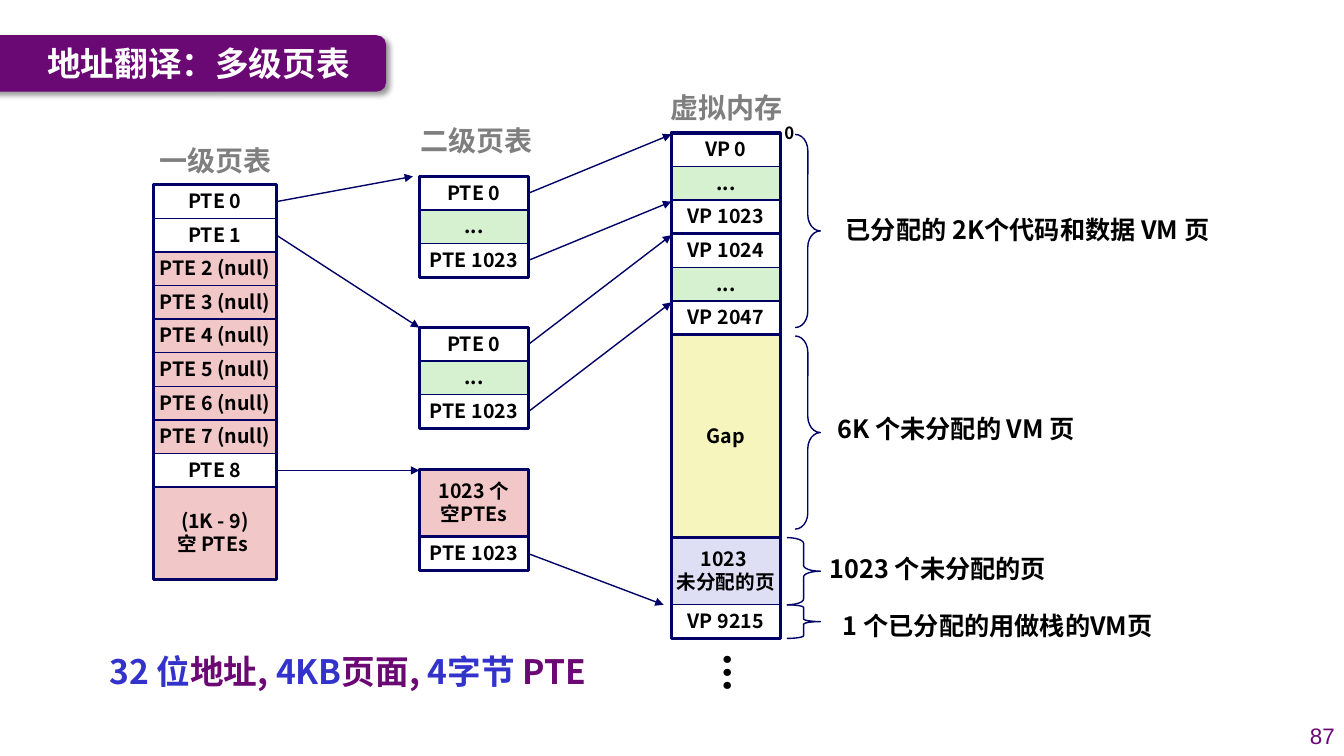
from lxml import etree
from pptx import Presentation
from pptx.dml.color import RGBColor
from pptx.enum.shapes import MSO_CONNECTOR, MSO_SHAPE
from pptx.enum.text import MSO_ANCHOR, MSO_AUTO_SIZE, PP_ALIGN
from pptx.oxml.ns import qn
from pptx.util import Pt

RECT, ROUNDED, BRACE = MSO_SHAPE.RECTANGLE, MSO_SHAPE.ROUNDED_RECTANGLE, MSO_SHAPE.RIGHT_BRACE
STRAIGHT = MSO_CONNECTOR.STRAIGHT
TOP, MIDDLE = MSO_ANCHOR.TOP, MSO_ANCHOR.MIDDLE
LEFT, CENTER, RIGHT = PP_ALIGN.LEFT, PP_ALIGN.CENTER, PP_ALIGN.RIGHT
GROW, FIXED = MSO_AUTO_SIZE.SHAPE_TO_FIT_TEXT, MSO_AUTO_SIZE.NONE

CJK = "Noto Sans CJK SC"
NAVY, BLACK, GREY, WHITE = "000066", "000000", "7F7F7F", "FFFFFF"
PURPLE, BLUE, BANNER_PURPLE = "6B0874", "3333CC", "6A0874"
GREEN, PINK, YELLOW, LAVENDER = "D5F1CF", "F1C7C7", "F6F5BD", "DEDFF5"
ROW = 24


def rgb(value):
    return RGBColor.from_string(value)


def write(shape, lines, size, color=BLACK, align=CENTER, spacing=0.98, font=CJK, bold=True,
          anchor=MIDDLE, wrap=False, fit=FIXED):
    frame = shape.text_frame
    frame_format = {"vertical_anchor": anchor, "word_wrap": wrap, "auto_size": fit}
    for name, value in frame_format.items():
        setattr(frame, name, value)
    for index, line in enumerate(lines):
        paragraph = frame.add_paragraph() if index else frame.paragraphs[0]
        paragraph_format = {"alignment": align, "line_spacing": spacing, "space_before": Pt(0)}
        for name, value in paragraph_format.items():
            setattr(paragraph, name, value)
        for words, run_color in [(line, color)] if isinstance(line, str) else line:
            run = paragraph.add_run()
            run.text = words
            for name, value in {"size": Pt(size), "bold": bold, "name": font}.items():
                setattr(run.font, name, value)
            run.font.color.rgb = rgb(run_color)
    for properties in shape.element.iter(qn("a:rPr")):
        etree.SubElement(properties, qn("a:ea"), typeface=font)


deck = Presentation()
deck.slide_width, deck.slide_height = Pt(960), Pt(540)
slide = deck.slides.add_slide(deck.slide_layouts[5])
shapes = slide.shapes

title = shapes.title
title_box = {"left": 26.6, "top": 25.2, "width": 235.4, "height": 39.6}
for name, value in title_box.items():
    setattr(title, name, Pt(value))
write(title, ["地址翻译：多级页表"], 24, WHITE, LEFT, 1, wrap=True)

banner = shapes.add_shape(ROUNDED, Pt(-14.4), Pt(25.2), Pt(290.2), Pt(40.3))
banner.fill.solid()
banner.fill.fore_color.rgb = rgb(BANNER_PURPLE)
banner.line.fill.background()
banner.shadow.inherit = False
banner_effects = banner.element.spPr.find(qn("a:effectLst"))
banner_shadow = etree.SubElement(banner_effects, qn("a:outerShdw"), blurRad=str(Pt(4)),
                                 dist=str(Pt(3)), dir="2700000", algn="tl", rotWithShape="0")
shadow_color = etree.SubElement(banner_shadow, qn("a:srgbClr"), val=BLACK)
etree.SubElement(shadow_color, qn("a:alpha"), val="40000")
title.element.addprevious(banner.element)

headings = [("一级页表", 106.5, 102.2), ("二级页表", 293, 87.8), ("虚拟内存", 471.6, 64.1)]
for heading, left, top in headings:
    box = shapes.add_textbox(Pt(left), Pt(top), Pt(95), Pt(28))
    write(box, [heading], 20, GREY, spacing=0.88, anchor=TOP, fit=GROW)

null_entries = [(f"PTE {number} (null)", PINK, ROW, NAVY, 1) for number in range(2, 8)]
first_last = {
    kind: [(f"{kind} {first}", None, ROW, NAVY, 1), ("...", GREEN, ROW, NAVY, 1),
           (f"{kind} {last}", None, ROW, NAVY, 1)]
    for kind, first, last in [("PTE", 0, 1023), ("VP", 0, 1023)]
}
second_pages = [("VP 1024", None, ROW, NAVY, 1), ("...", GREEN, ROW, NAVY, 1),
                ("VP 2047", None, ROW, NAVY, 1)]
blocks = {
    "level 1": (109.5, 132, 88, [("PTE 0", None, ROW, NAVY, 1), ("PTE 1", None, ROW, NAVY, 1),
                                 *null_entries, ("PTE 8", None, ROW, NAVY, 1),
                                 ("(1K - 9)\n空 PTEs ", PINK, 66, NAVY, 1)]),
    "level 2 first": (299.5, 126, 78, first_last["PTE"]),
    "level 2 second": (299.5, 234, 78, first_last["PTE"]),
    "level 2 last": (299.5, 335.5, 78, [("1023 个\n空PTEs", PINK, 2 * ROW, NAVY, 2.25),
                                        ("PTE 1023", None, ROW, NAVY, 1)]),
    "code pages": (479.5, 95, 78, first_last["VP"]),
    "data pages": (479.5, 167, 78, second_pages),
    "gap": (479.5, 239, 78, [("Gap", YELLOW, 145, NAVY, 2.25)]),
    "stack pages": (479.5, 384, 78, [("1023 \n未分配的页", LAVENDER, 2 * ROW, LAVENDER, 1),
                                     ("VP 9215", None, ROW, NAVY, 1)]),
}
entries = {}
for block, (left, top, width, rows) in blocks.items():
    total = sum(row[2] for row in rows)
    outline = ("", None, total, NAVY, 2.25)
    row_top = top
    entries[block] = []
    for label, fill, height, edge, weight in rows + [outline]:
        if not label:
            row_top = top
        cell = shapes.add_shape(RECT, Pt(left), Pt(row_top), Pt(width), Pt(height))
        cell.shadow.inherit = False
        if fill:
            cell.fill.solid()
            cell.fill.fore_color.rgb = rgb(fill)
        else:
            cell.fill.background()
        cell.line.color.rgb = rgb(edge)
        cell.line.width = Pt(weight)
        if label:
            write(cell, label.split("\n"), 14)
        entries[block].append(cell)
        row_top += height

pointers = [
    ("level 2 first", 0, 479.5, 96), ("level 2 first", 2, 479.5, 144),
    ("level 2 second", 0, 479.5, 168), ("level 2 second", 2, 479.5, 216),
    ("level 2 last", 1, 474, 432), ("level 1", 0, 295, 126),
    ("level 1", 1, 299.5, 234), ("level 1", 8, 299.5, 336),
]
for block, row, end_x, end_y in pointers:
    pointer = shapes.add_connector(STRAIGHT, Pt(0), Pt(0), Pt(end_x), Pt(end_y))
    pointer.begin_connect(entries[block][row], 3)
    pointer.line.color.rgb = rgb(NAVY)
    pointer.line.width = Pt(1)
    etree.SubElement(pointer.line._get_or_add_ln(), qn("a:tailEnd"), type="triangle")
    etree.SubElement(pointer.element.spPr, qn("a:effectLst"))

braces = [(568, 96, 18, 138, 0.64), (568, 240, 18, 138, 0.64),
          (562, 384, 24, 48, 0.17), (562, 432, 24, 24, 0.08)]
for left, top, width, height, curve in braces:
    brace = shapes.add_shape(BRACE, Pt(left), Pt(top), Pt(width), Pt(height))
    brace.adjustments[0] = curve
    brace.shadow.inherit = False
    brace.fill.background()
    brace.line.color.rgb = rgb(NAVY)
    brace.line.width = Pt(1)

notes = [
    ("0", 553, 84.5, 21.6, 21.6, 12, False),
    ("已分配的 2K个代码和数据 VM 页", 588.2, 150, 291.6, 28.8, 18, True),
    ("6K 个未分配的 VM 页", 585.4, 292.3, 195.1, 28.8, 18, False),
    ("1023 个未分配的页", 583.2, 392.4, 173.5, 28.8, 18, False),
    ("1 个已分配的用做栈的VM页", 588.2, 433.4, 249.1, 28.8, 18, True),
]
for note, left, top, width, height, size, wrap in notes:
    box = shapes.add_textbox(Pt(left), Pt(top), Pt(width), Pt(height))
    write(box, [note], size, wrap=wrap, fit=GROW)

more_pages = shapes.add_textbox(Pt(500.4), Pt(460), Pt(44), Pt(31))
write(more_pages, ["..."], 28, spacing=0.88, anchor=TOP, fit=GROW)
more_pages.element.txBody.find(qn("a:bodyPr")).set("vert", "eaVert")
more_pages.element.txBody.find(qn("a:p")).find(qn("a:pPr")).set("rtl", "1")

summary = shapes.add_textbox(Pt(66.2), Pt(461.5), Pt(364.3), Pt(36))
summary_runs = [("32 位", BLUE), ("地址, ", PURPLE), ("4KB", BLUE), ("页面,", PURPLE),
                (" 4字节 ", BLUE), ("PTE", PURPLE)]
write(summary, [summary_runs], 24, spacing=1, anchor=TOP, fit=GROW)

page_number = shapes.add_textbox(Pt(920.9), Pt(511.2), Pt(39.6), Pt(28.8))
write(page_number, ["87"], 16, BANNER_PURPLE, RIGHT, 1, "Arial", False, wrap=True)

deck.save("out.pptx")
